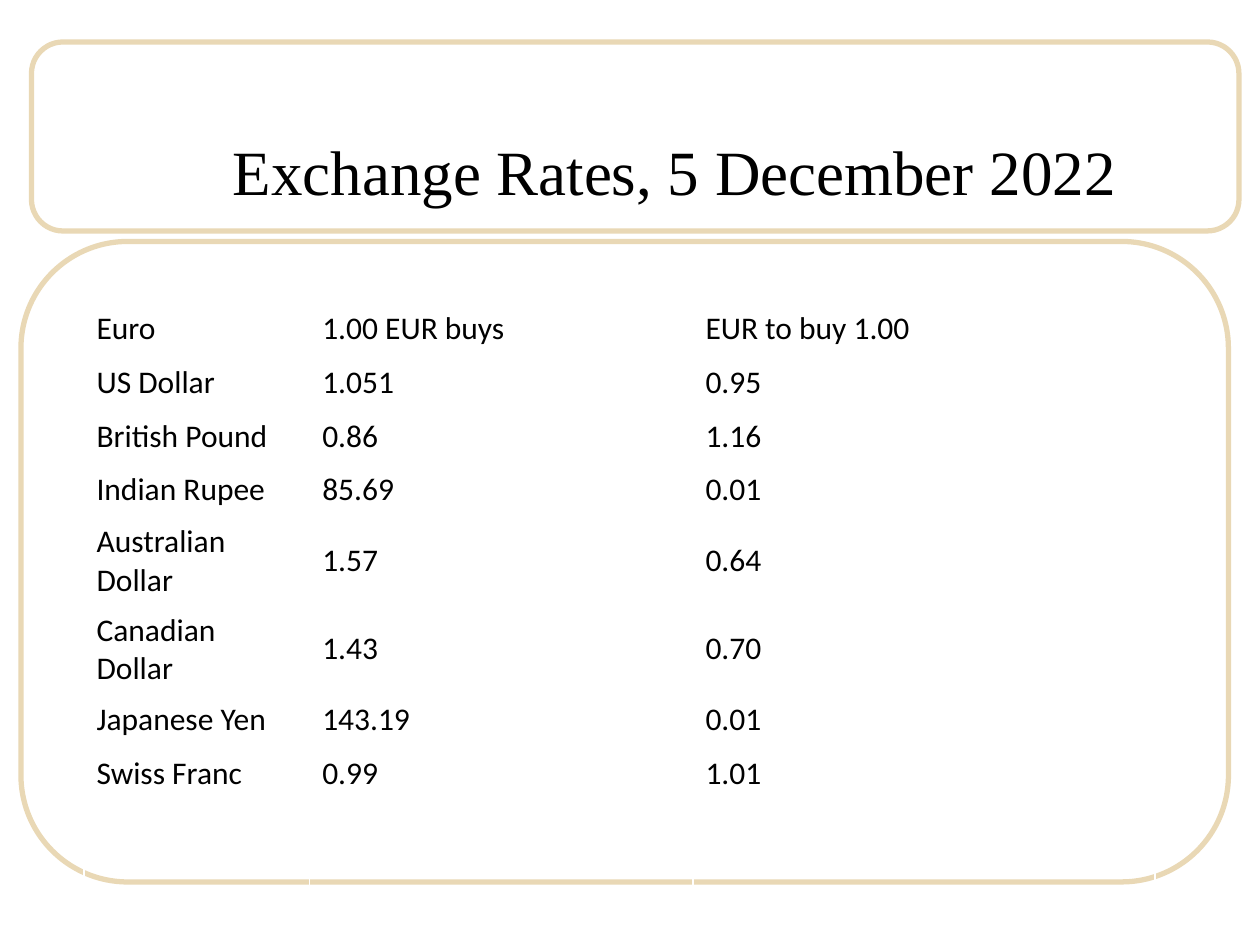
import dataclasses

import pptx
import pptx.dml.color
import pptx.enum.shapes
import pptx.enum.text
import pptx.util


@dataclasses.dataclass(frozen=True)
class Theme:
    paper: str = "FFFFFF"
    ink: str = "000000"
    frame: str = "E9D8B5"
    frame_width: float = 3
    title_font: str = "Times New Roman"
    title_size: float = 36
    body_font: str = "Calibri"
    body_size: float = 18


def color(code):
    return pptx.dml.color.RGBColor.from_string(code)


class SlideBuilder:
    """Places elements on a grid of 120 columns by 90 rows."""

    def __init__(self, deck, theme):
        self.theme = theme
        self.unit = deck.slide_width / 120
        self.page = deck.slides.add_slide(deck.slide_layouts[6])

    def grid(self, *cells):
        return [pptx.util.Emu(round(cell * self.unit)) for cell in cells]

    def style(self, para, font, size):
        para.font.name = font
        para.font.size = pptx.util.Pt(size)
        para.font.color.rgb = color(self.theme.ink)

    def frame(self, *place):
        box = self.page.shapes.add_shape(
            pptx.enum.shapes.MSO_SHAPE.ROUNDED_RECTANGLE, *self.grid(*place))
        box.shadow.inherit = False
        box.fill.solid()
        box.fill.fore_color.rgb = color(self.theme.paper)
        box.line.color.rgb = color(self.theme.frame)
        box.line.width = pptx.util.Pt(self.theme.frame_width)

    def title(self, text, *place):
        box = self.page.shapes.add_textbox(*self.grid(*place))
        box.text_frame.word_wrap = True
        box.text_frame.vertical_anchor = pptx.enum.text.MSO_ANCHOR.BOTTOM
        para = box.text_frame.paragraphs[0]
        para.text = text
        self.style(para, self.theme.title_font, self.theme.title_size)

    def table(self, records, left, top, columns, rows):
        place = self.grid(left, top, sum(columns), sum(rows))
        table = self.page.shapes.add_table(len(rows), len(columns), *place).table
        table.first_row = table.horz_banding = False
        for column, width in zip(table.columns, self.grid(*columns)):
            column.width = width
        for row, height in zip(table.rows, self.grid(*rows)):
            row.height = height
        for cell in table.iter_cells():
            cell.fill.background()
            cell.vertical_anchor = pptx.enum.text.MSO_ANCHOR.MIDDLE
        for row, record in zip(table.rows, records):
            for cell, text in zip(row.cells, record):
                para = cell.text_frame.paragraphs[0]
                para.text = text
                self.style(para, self.theme.body_font, self.theme.body_size)


RATES = [
    ("Euro", "1.00 EUR buys", "EUR to buy 1.00"),
    ("US Dollar", "1.051", "0.95"),
    ("British Pound", "0.86", "1.16"),
    ("Indian Rupee", "85.69", "0.01"),
    ("Australian Dollar", "1.57", "0.64"),
    ("Canadian Dollar", "1.43", "0.70"),
    ("Japanese Yen", "143.19", "0.01"),
    ("Swiss Franc", "0.99", "1.01"),
]


def main():
    deck = pptx.Presentation()
    deck.slide_width = pptx.util.Inches(10)
    deck.slide_height = pptx.util.Inches(7.5)
    slide = SlideBuilder(deck, Theme())

    # Frames around the title and the body
    slide.frame(3, 4, 115, 18)
    slide.frame(2, 23, 115, 61)

    # Title
    slide.title("Exchange Rates, 5 December 2022", 21, 12, 96, 8.4)

    # Rates, with three spare rows of which the first is double height
    row = 5.1
    slide.table(RATES, 8, 28.8, columns=[21.5, 36.5, 44],
                rows=[row] * len(RATES) + [2 * row, row, row])

    deck.save("out.pptx")


if __name__ == "__main__":
    main()
